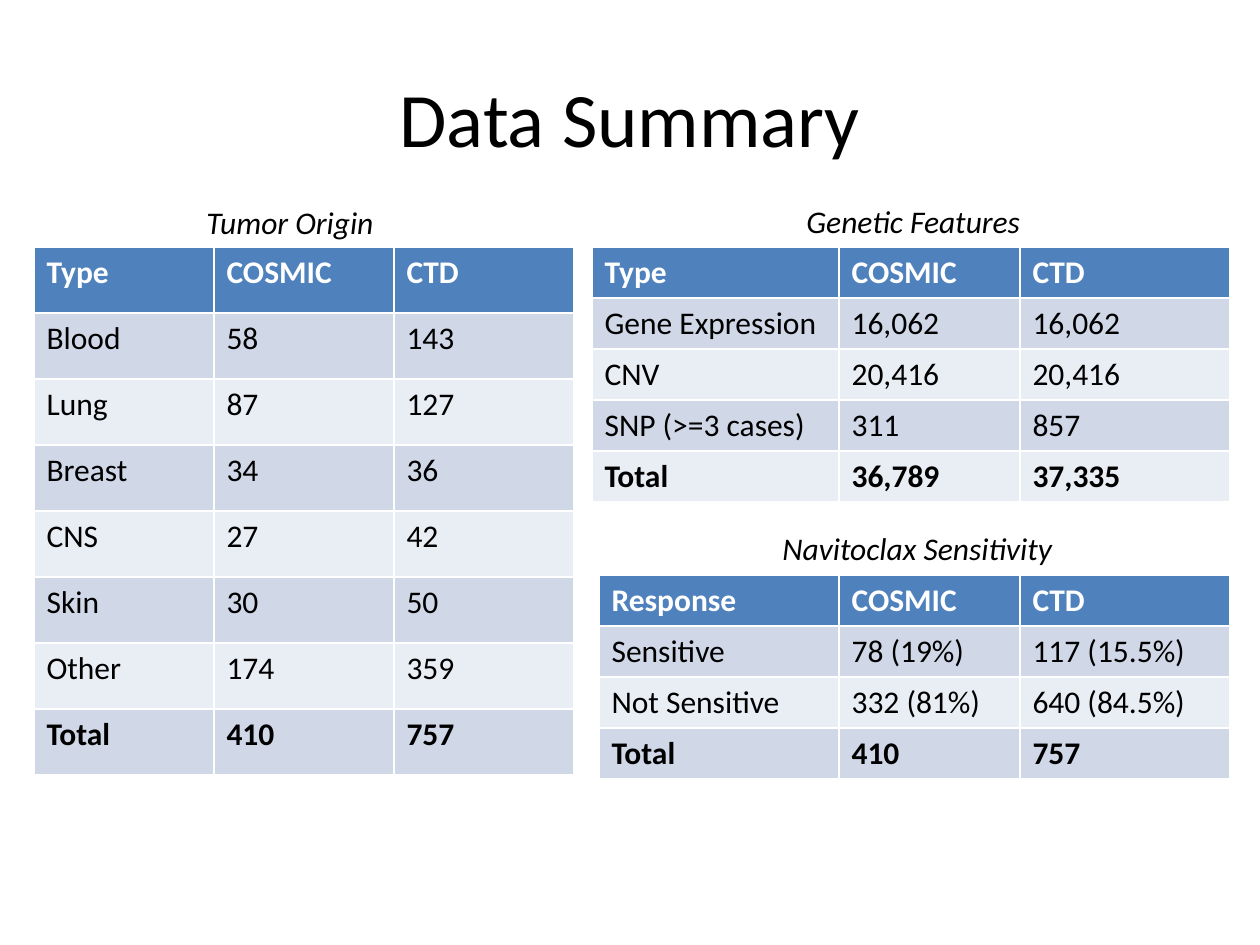
from pptx import Presentation
from pptx.dml.color import RGBColor
from pptx.enum.text import MSO_ANCHOR, MSO_AUTO_SIZE, PP_ALIGN
from pptx.util import Emu, Pt

PX = 914400 // 126
COLORS = {
    "text": "000000",
    "header_text": "FFFFFF",
    "header": "4F81BD",
    "odd_band": "D0D8E8",
    "even_band": "E9EDF4",
}


def px(*lengths):
    return [Emu(length * PX) for length in lengths]


class SummarySlide:
    font = "Calibri"
    body_size = 18
    title_size = 44

    def __init__(self, deck):
        self.page = deck.slides.add_slide(deck.slide_layouts[6])

    def add_text(self, frame, text, color="text", **style):
        para = frame.paragraphs[0]
        span = para.add_run()
        span.text = text
        values = {"name": self.font, "size": Pt(self.body_size), **style}
        for name, value in values.items():
            setattr(span.font, name, value)
        span.font.color.rgb = RGBColor.from_string(COLORS[color])
        return para

    def title(self, text, left, top, width, height):
        box = self.page.shapes.add_textbox(*px(left, top, width, height))
        frame = box.text_frame
        frame.word_wrap = True
        frame.vertical_anchor = MSO_ANCHOR.MIDDLE
        para = self.add_text(frame, text, size=Pt(self.title_size))
        para.alignment = PP_ALIGN.CENTER

    def caption(self, text, left, top, width, height=51):
        box = self.page.shapes.add_textbox(*px(left, top, width, height))
        frame = box.text_frame
        frame.word_wrap = False
        frame.auto_size = MSO_AUTO_SIZE.SHAPE_TO_FIT_TEXT
        self.add_text(frame, text, italic=True)

    def table(self, rows, left, top, widths, row_height):
        # The default table style supplies the white rules
        area = px(left, top, sum(widths), row_height * len(rows))
        grid = self.page.shapes.add_table(len(rows), len(widths), *area).table
        for column, width in zip(grid.columns, px(*widths)):
            column.width = width
        for row_index, values in enumerate(rows):
            grid.rows[row_index].height = Emu(row_height * PX)
            header = row_index == 0
            band = "odd_band" if row_index % 2 else "even_band"
            bold = header or values[0] == "Total"
            for column_index, value in enumerate(values):
                cell = grid.cell(row_index, column_index)
                cell.fill.solid()
                fill = COLORS["header" if header else band]
                cell.fill.fore_color.rgb = RGBColor.from_string(fill)
                color = "header_text" if header else "text"
                self.add_text(cell.text_frame, value, color, bold=bold)


GENETIC_FEATURES = [
    ("Type", "COSMIC", "CTD"),
    ("Gene Expression", "16,062", "16,062"),
    ("CNV", "20,416", "20,416"),
    ("SNP (>=3 cases)", "311", "857"),
    ("Total", "36,789", "37,335"),
]
TUMOR_ORIGIN = [
    ("Type", "COSMIC", "CTD"),
    ("Blood", "58", "143"),
    ("Lung", "87", "127"),
    ("Breast", "34", "36"),
    ("CNS", "27", "42"),
    ("Skin", "30", "50"),
    ("Other", "174", "359"),
    ("Total", "410", "757"),
]
SENSITIVITY = [
    ("Response", "COSMIC", "CTD"),
    ("Sensitive", "78 (19%)", "117 (15.5%)"),
    ("Not Sensitive", "332 (81%)", "640 (84.5%)"),
    ("Total", "410", "757"),
]


def main():
    deck = Presentation()
    deck.slide_width, deck.slide_height = px(1260, 945)
    slide = SummarySlide(deck)

    # Heading
    slide.title("Data Summary", 63, 38, 1134, 157)

    # Tables
    slide.table(GENETIC_FEATURES, 592, 247, (247, 181, 210), 51)
    slide.table(TUMOR_ORIGIN, 34, 247, (180, 180, 180), 66)
    slide.table(SENSITIVITY, 599, 575, (240, 181, 210), 51)

    # Table captions
    slide.caption("Genetic Features", 794, 196, 249)
    slide.caption("Tumor Origin", 194, 197, 204)
    slide.caption("Navitoclax Sensitivity", 770, 523, 306)

    deck.save("out.pptx")


if __name__ == "__main__":
    main()
